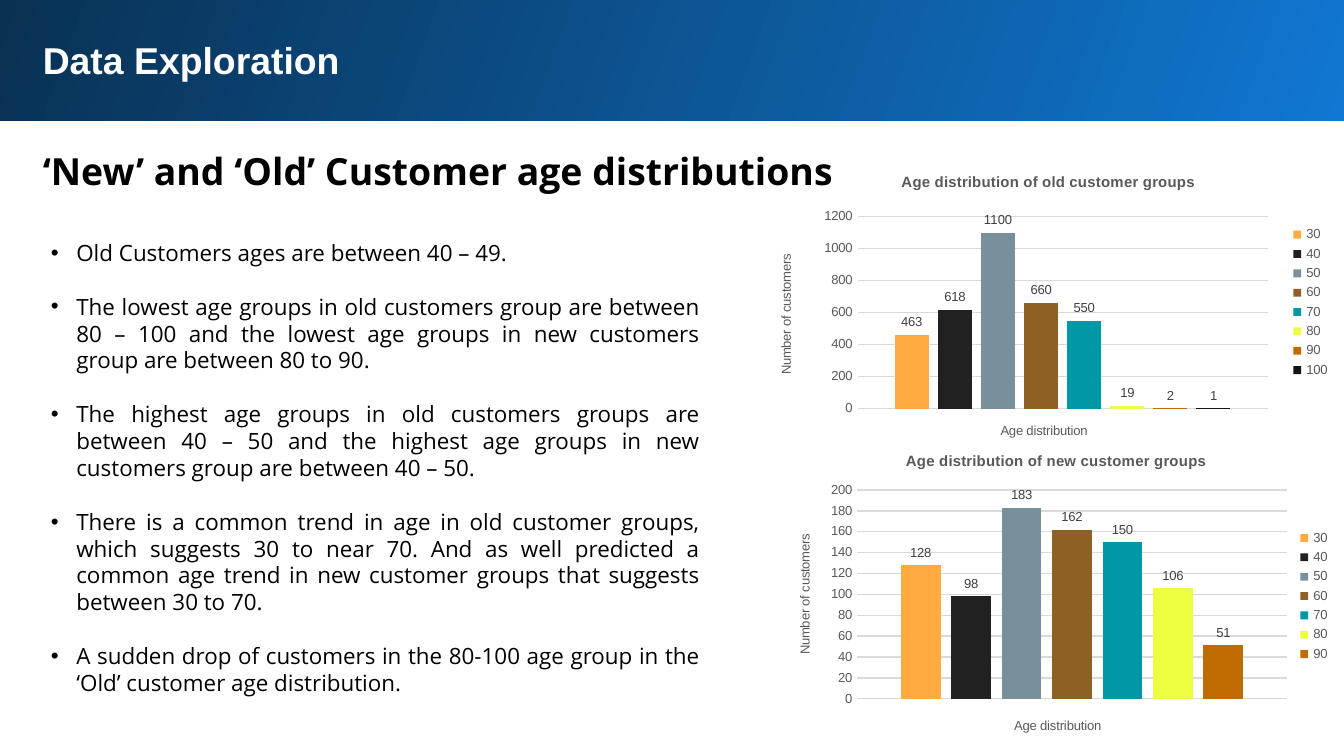
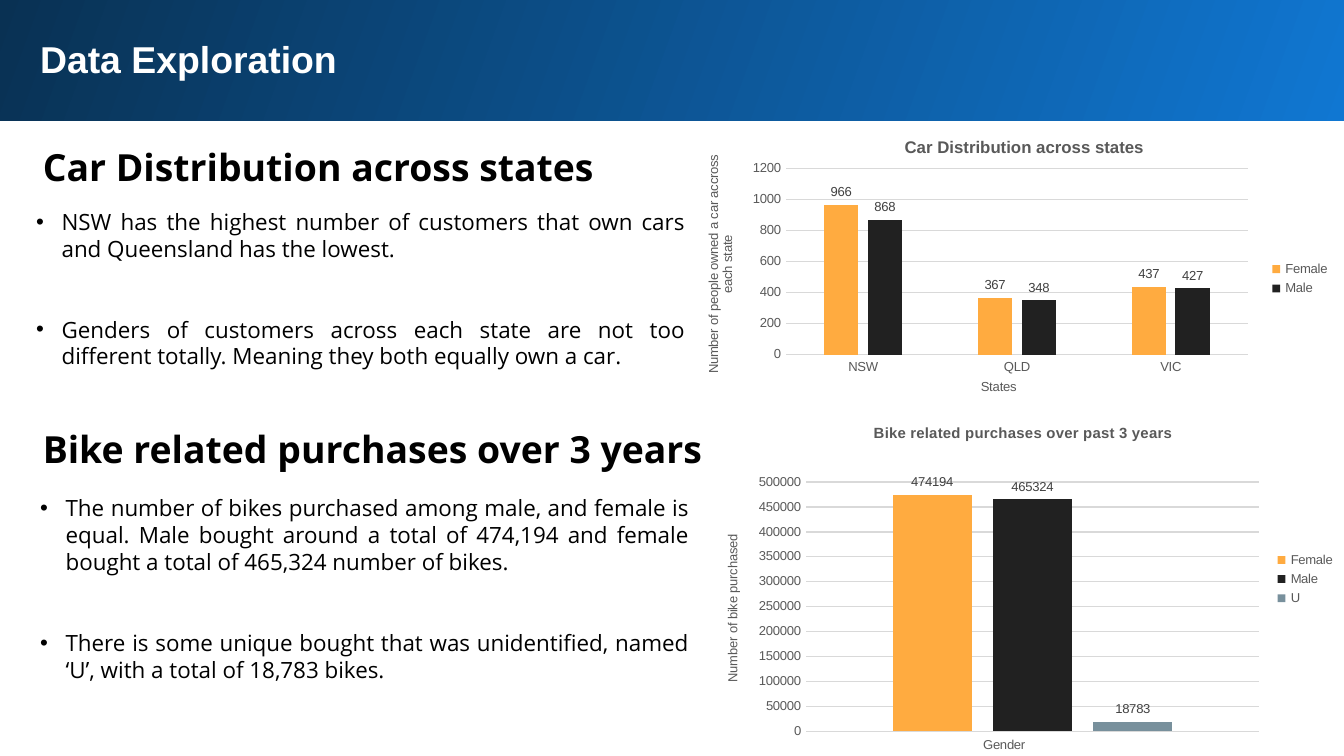
import pptx
import pptx.chart.data
import pptx.dml.color
import pptx.enum.chart
import pptx.enum.shapes
import pptx.enum.text
import pptx.oxml
import pptx.oxml.ns
import pptx.util
from pptx.util import Inches

Color = pptx.dml.color.RGBColor
WHITE = Color(0xFF, 0xFF, 0xFF)
BLACK = Color(0x00, 0x00, 0x00)
BAND_BRIGHT = Color(0x10, 0x77, 0xD2)
BAND_DARK = Color(0x09, 0x31, 0x53)
AXIS_GREY = Color(0x59, 0x59, 0x59)
LABEL_GREY = Color(0x40, 0x40, 0x40)
GRID_GREY = Color(0xD9, 0xD9, 0xD9)
SERIES_COLORS = [
    Color(0xFF, 0xAB, 0x40), Color(0x21, 0x21, 0x21), Color(0x78, 0x90, 0x9C),
    Color(0x8F, 0x60, 0x24), Color(0x00, 0x97, 0xA7), Color(0xEE, 0xFF, 0x41),
    Color(0xBF, 0x6B, 0x00), Color(0x14, 0x14, 0x14),
]
HEAD_FONT = "Arial"
BODY_FONT = "Open Sans"
BODY_SIZE = 12
LINE = 14.4  # height of one body line in points


def set_font(font, name, size, color, bold=False):
    font.name = name
    font.size = pptx.util.Pt(size)
    font.color.rgb = color
    font.bold = bold


def add_text_box(page, box, inset_y):
    frame = page.shapes.add_textbox(*map(Inches, box)).text_frame
    frame.word_wrap = True
    frame.auto_size = pptx.enum.text.MSO_AUTO_SIZE.SHAPE_TO_FIT_TEXT
    frame.margin_left = frame.margin_right = Inches(0.1)
    frame.margin_top = frame.margin_bottom = Inches(inset_y)
    return frame


def add_heading(page, box, text, name=BODY_FONT, color=BLACK, spacing=1.15):
    para = add_text_box(page, box, 0.1).paragraphs[0]
    para.text = text
    para.line_spacing = spacing
    set_font(para.font, name, 20, color, True)


def add_band(page, title_box):
    """Gradient band across the top with the page title on it."""
    band = page.shapes.add_shape(
        pptx.enum.shapes.MSO_SHAPE.RECTANGLE,
        Inches(-0.02), Inches(-0.02), Inches(10.05), Inches(0.92))
    band.shadow.inherit = False
    band.line.fill.background()
    band.fill.gradient()
    band.fill.gradient_angle = 160
    for stop, color in zip(band.fill.gradient_stops, (BAND_BRIGHT, BAND_DARK)):
        stop.color.rgb = color
    add_heading(page, title_box, "Data Exploration", HEAD_FONT, WHITE, 1.0)


def add_bullets(page, box, items, gap_lines):
    frame = add_text_box(page, box, 0.05)
    for index, item in enumerate(items):
        para = frame.add_paragraph() if index else frame.paragraphs[0]
        para.text = item
        para.alignment = pptx.enum.text.PP_ALIGN.JUSTIFY
        if index:
            para.space_before = pptx.util.Pt(LINE * gap_lines)
        set_font(para.font, BODY_FONT, BODY_SIZE, BLACK)
        props = para._p.get_or_add_pPr()
        props.set("marL", str(Inches(0.19)))
        props.set("indent", str(Inches(-0.19)))
        # Bullet elements must come before the paragraph's default font
        defaults = props.find(pptx.oxml.ns.qn("a:defRPr"))
        for tag, attribute, value in (("a:buFont", "typeface", HEAD_FONT),
                                      ("a:buChar", "char", "•")):
            bullet = pptx.oxml.ns.qn(tag)
            defaults.addprevious(props.makeelement(bullet, {attribute: value}))


def place_part(parent, index, **values):
    """Give a chart part a manual layout, in fractions of the chart."""
    for old in parent.findall(pptx.oxml.ns.qn("c:layout")):
        parent.remove(old)
    inner = '<c:layoutTarget val="inner"/>' if "w" in values else ""
    modes = "".join(f'<c:{key}Mode val="edge"/>' for key in "xy")
    sizes = "".join(f'<c:{key} val="{value}"/>' for key, value in values.items())
    parent.insert(index, pptx.oxml.parse_xml(
        f'<c:layout {pptx.oxml.ns.nsdecls("c")}><c:manualLayout>'
        f'{inner}{modes}{sizes}</c:manualLayout></c:layout>'))


def set_title(title, text, spot, size=7, bold=False, turned=False):
    para = title.text_frame.paragraphs[0]
    para.text = text
    set_font(para.font, HEAD_FONT, size, AXIS_GREY, bold)
    place_part(title._element, 1, x=spot[0], y=spot[1])
    if turned:
        body = title._element.find(".//" + pptx.oxml.ns.qn("a:bodyPr"))
        body.set("rot", "-5400000")
        body.set("vert", "horz")


def add_column_chart(page, box, title, title_size, title_spot, value_title, value_spot,
                     category_title, category_spot, plot, top, step, series,
                     categories=("1",)):
    data = pptx.chart.data.CategoryChartData()
    data.categories = categories
    for name, values in series.items():
        data.add_series(name, values)
    chart = page.shapes.add_chart(
        pptx.enum.chart.XL_CHART_TYPE.COLUMN_CLUSTERED, *map(Inches, box), data).chart
    set_font(chart.font, HEAD_FONT, 7, BLACK)

    # Titles
    chart.has_title = True
    set_title(chart.chart_title, title, title_spot, title_size, True)
    chart.chart_title.include_in_layout = False
    value_axis, category_axis = chart.value_axis, chart.category_axis
    set_title(value_axis.axis_title, value_title, value_spot, turned=True)
    set_title(category_axis.axis_title, category_title, category_spot)

    # Axes
    for axis in (value_axis, category_axis):
        axis.major_tick_mark = pptx.enum.chart.XL_TICK_MARK.NONE
        axis.minor_tick_mark = pptx.enum.chart.XL_TICK_MARK.NONE
        set_font(axis.tick_labels.font, HEAD_FONT, 7, AXIS_GREY)
    value_axis.minimum_scale, value_axis.maximum_scale = 0, top
    value_axis.major_unit = step
    value_axis.format.line.fill.background()
    for line in (value_axis.major_gridlines.format.line, category_axis.format.line):
        line.color.rgb = GRID_GREY
        line.width = pptx.util.Pt(0.75)
    category_axis.visible = len(categories) > 1

    # Legend
    chart.has_legend = True
    chart.legend.position = pptx.enum.chart.XL_LEGEND_POSITION.RIGHT
    chart.legend.include_in_layout = False
    set_font(chart.legend.font, HEAD_FONT, 7, AXIS_GREY)

    # Columns and their labels
    columns = chart.plots[0]
    columns.gap_width, columns.overlap = 219, -27
    columns.vary_by_categories = False
    for column, color in zip(columns.series, SERIES_COLORS):
        column.format.fill.solid()
        column.format.fill.fore_color.rgb = color
        labels = column.data_labels
        labels.show_value = True
        labels.position = pptx.enum.chart.XL_LABEL_POSITION.OUTSIDE_END
        set_font(labels.font, HEAD_FONT, 7, LABEL_GREY)
    area = chart._chartSpace.find(".//" + pptx.oxml.ns.qn("c:plotArea"))
    place_part(area, 0, **dict(zip("xywh", plot)))


def by_age(*counts):
    return {str(30 + 10 * index): [count] for index, count in enumerate(counts)}


def build_age_page(page):
    add_band(page, (0.22, 0.18, 9.37, 0.51))
    add_heading(page, (0.22, 0.95, 9.37, 0.56),
                "‘New’ and ‘Old’ Customer age distributions")
    add_column_chart(
        page, (5.64, 1.15, 4.36, 2.2),
        "Age distribution of old customer groups", 8, (0.24, 0.05),
        "Number of customers", (0.03, 0.33), "Age distribution", (0.41, 0.9),
        (0.17, 0.21, 0.7, 0.65), 1200, 200,
        by_age(463, 618, 1100, 660, 550, 19, 2, 1))
    add_column_chart(
        page, (5.74, 3.24, 4.26, 2.39),
        "Age distribution of new customer groups", 8, (0.23, 0.04),
        "Number of customers", (0.04, 0.3), "Age distribution", (0.42, 0.87),
        (0.15, 0.17, 0.75, 0.65), 200, 20,
        by_age(128, 98, 183, 162, 150, 106, 51))
    add_bullets(page, (0.28, 1.73, 5.03, 3.53), [
        "Old Customers ages are between 40 – 49.",
        "The lowest age groups in old customers group are between 80 – 100 and the "
        "lowest age groups in new customers group are between 80 to 90.",
        "The highest age groups in old customers groups are between 40 – 50 and the "
        "highest age groups in new customers group are between 40 – 50.",
        "There is a common trend in age in old customer groups, which suggests 30 to "
        "near 70. And as well predicted a common age trend in new customer groups "
        "that suggests between 30 to 70.",
        "A sudden drop of customers in the 80-100 age group in the ‘Old’ customer "
        "age distribution.",
    ], 1)


def build_purchase_page(page):
    add_band(page, (0.2, 0.17, 9.37, 0.54))

    # Cars by state
    add_column_chart(
        page, (5.23, 0.9, 4.77, 2.35),
        "Car Distribution across states", 9, (0.31, 0.04),
        "Number of people owned a car accross each state", (0, 0.1),
        "States", (0.43, 0.81), (0.13, 0.15, 0.72, 0.59), 1200, 200,
        {"Female": [966, 367, 437], "Male": [868, 348, 427]},
        ("NSW", "QLD", "VIC"))
    add_bullets(page, (0.17, 1.5, 5.03, 1.31), [
        "NSW has the highest number of customers that own cars and Queensland has "
        "the lowest.",
        "Genders of customers across each state are not too different totally. "
        "Meaning they both equally own a car.",
    ], 2)

    # Bikes by gender
    add_column_chart(
        page, (5.23, 3.02, 4.81, 2.61),
        "Bike related purchases over past 3 years", 8, (0.26, 0.04),
        "Number of bike purchased", (0.03, 0.37), "Gender", (0.43, 0.95),
        (0.16, 0.22, 0.7, 0.72), 500000, 50000,
        {"Female": [474194], "Male": [465324], "U": [18783]})
    add_bullets(page, (0.2, 3.63, 5.03, 1.51), [
        "The number of bikes purchased among male, and female is equal. Male bought "
        "around a total of 474,194 and female bought a total of 465,324 number of "
        "bikes.",
        "There is some unique bought that was unidentified, named ‘U’, with a total "
        "of 18,783 bikes.",
    ], 2)

    # Section headings
    add_heading(page, (0.22, 3.02, 5.3, 0.56), "Bike related purchases over 3 years")
    add_heading(page, (0.22, 0.92, 5.48, 0.56), "Car Distribution across states")


def main():
    deck = pptx.Presentation()
    deck.slide_width = Inches(10)
    deck.slide_height = deck.slide_width * 9 // 16
    for build in (build_age_page, build_purchase_page):
        build(deck.slides.add_slide(deck.slide_layouts[6]))
    deck.save("out.pptx")


if __name__ == "__main__":
    main()
